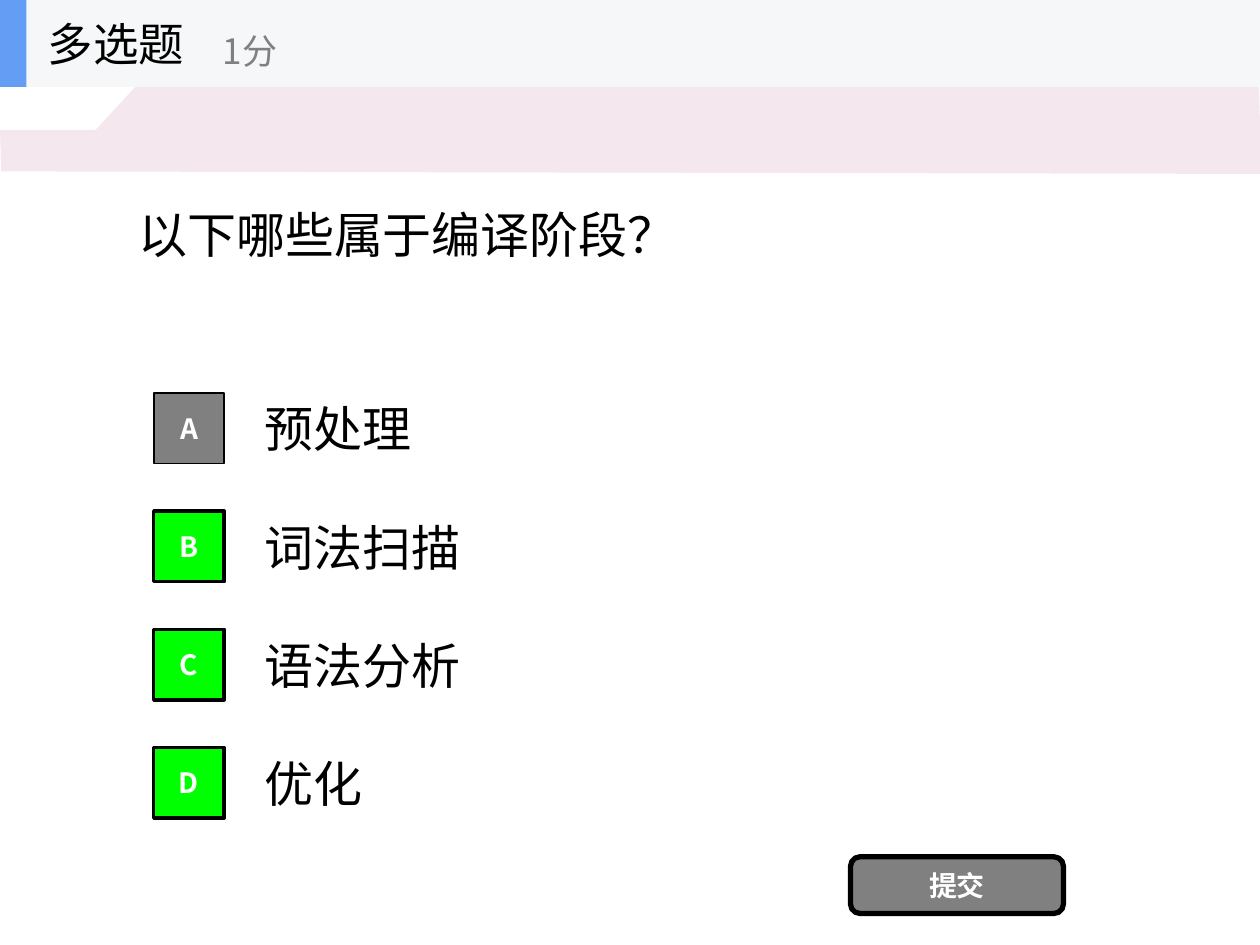
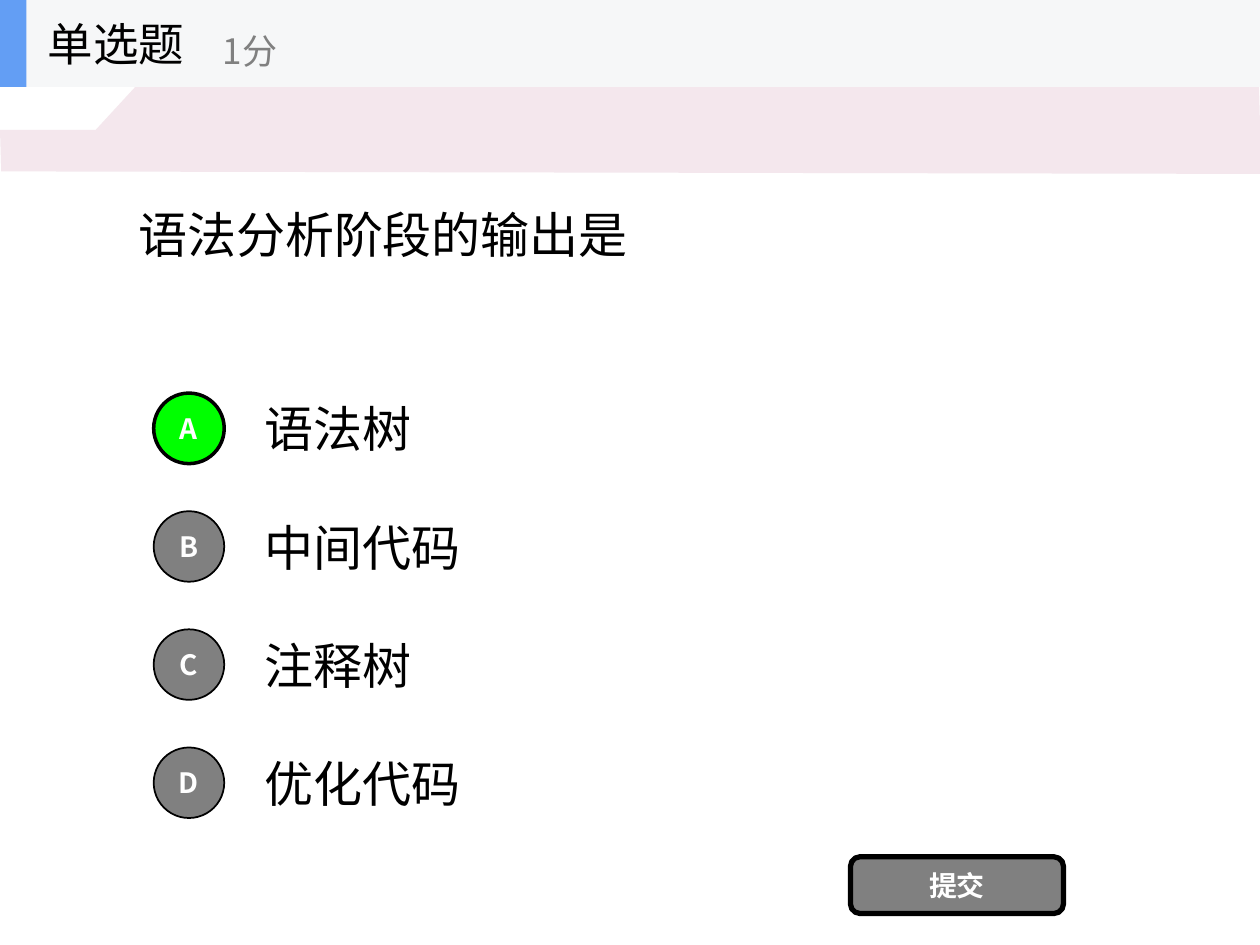
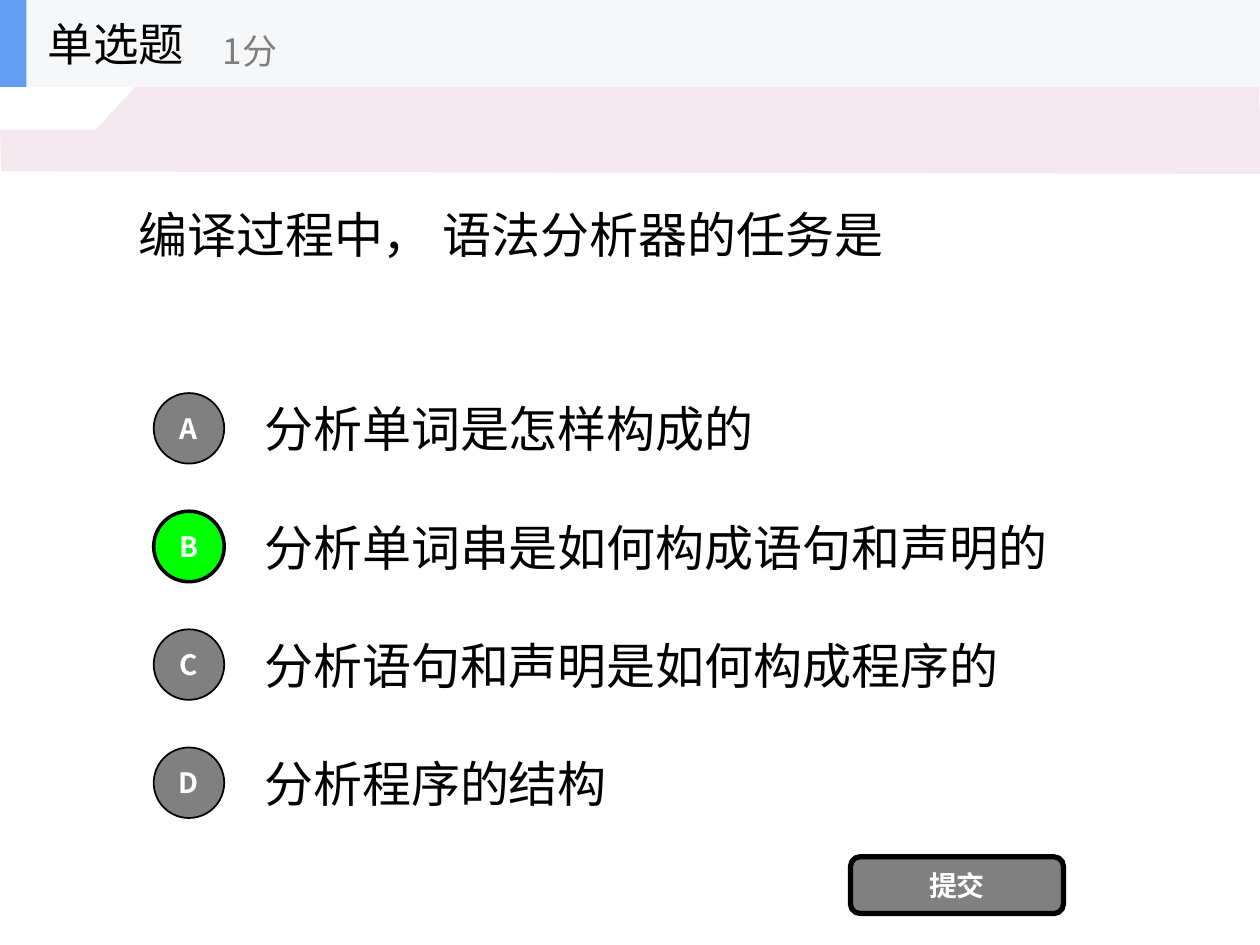
from pptx import Presentation
from pptx import util as u
from pptx.dml.color import RGBColor
from pptx.enum import shapes, text
from pptx.oxml.ns import qn
from lxml import etree

FACE = "Noto Sans CJK SC"
BLACK, WHITE, GRAY, GREEN = "000000", "FFFFFF", "808080", "00FF00"
PINK, PALE, BLUE = "F4E7ED", "F6F7F8", "639EF4"
SHAPE = shapes.MSO_SHAPE
WIDTH, HEIGHT, HEAD = 10, 7.5, 0.69
TOP, STEP, ROW, MARK = 3.05, HEIGHT / 8, 0.7, 0.56
BAND = [(0, 1.03), (0.76, 1.03), (1.35, 0.39), (3.75, 0.39),
        (3.93, 0.6), (9.99, 0.59), (10.01, 1.38), (0.01, 1.36)]

QUIZ = [
    ("多选题", SHAPE.RECTANGLE, "以下哪些属于编译阶段？", "BCD",
     ["预处理", "词法扫描", "语法分析", "优化"]),
    ("单选题", SHAPE.OVAL, "语法分析阶段的输出是", "A",
     ["语法树", "中间代码", "注释树", "优化代码"]),
    ("单选题", SHAPE.OVAL, "编译过程中， 语法分析器的任务是", "B",
     ["分析单词是怎样构成的", "分析单词串是如何构成语句和声明的",
      "分析语句和声明是如何构成程序的", "分析程序的结构"]),
]


def color(code):
    return RGBColor.from_string(code)


def write(shape, words, size, ink, bold=False, align=text.PP_ALIGN.LEFT):
    frame = shape.text_frame
    frame.word_wrap = True
    frame.vertical_anchor = text.MSO_ANCHOR.MIDDLE
    para = frame.paragraphs[0]
    para.text = words
    para.alignment = align
    font = para.font
    font.name, font.size, font.bold = FACE, u.Pt(size), bold
    font.color.rgb = color(ink)
    props = para._p.pPr.find(qn("a:defRPr"))
    etree.SubElement(props, qn("a:ea")).set("typeface", FACE)


def label(parent, box, words, size, ink=BLACK):
    write(parent.add_textbox(*map(u.Inches, box)), words, size, ink)


def paint(shape, fill, line=0):
    shape.shadow.inherit = False
    shape.fill.solid()
    shape.fill.fore_color.rgb = color(fill)
    if line:
        shape.line.color.rgb = color(BLACK)
        shape.line.width = u.Pt(line)
    else:
        shape.line.fill.background()


def block(parent, kind, box, fill, line=0, words=None):
    shape = parent.add_shape(kind, *map(u.Inches, box))
    paint(shape, fill, line)
    if words:
        write(shape, words, 16, WHITE, True, text.PP_ALIGN.CENTER)


def draw_band(parent):
    points = [(round(x * 100), round(y * 100)) for x, y in BAND]
    form = parent.build_freeform(*points[0], scale=u.Inches(0.01))
    form.add_line_segments(points[1:], close=True)
    paint(form.convert_to_shape(), PINK)


def draw_head(parent, title):
    group = parent.add_group_shape().shapes
    block(group, SHAPE.RECTANGLE, (0, 0, WIDTH, HEAD), PALE)
    block(group, SHAPE.RECTANGLE, (0, 0, 0.21, HEAD), BLUE)
    label(group, (0.28, 0, 2.08, HEAD), title, 26)
    label(group, (1.67, 0.12, 2.5, 0.56), "1分", 20, GRAY)


def draw_quiz(parent, title, kind, ask, right, picks):
    draw_band(parent)
    label(parent, (1, HEAD, 8, 2.34), ask, 28)
    for i, (key, pick) in enumerate(zip("ABCD", picks)):
        top = TOP + i * STEP
        label(parent, (2, top, 7, ROW), pick, 28)
        fill, line = (GREEN, 2) if key in right else (GRAY, 1)
        box = (1.22, top + (ROW - MARK) / 2, MARK, MARK)
        block(parent, kind, box, fill, line, key)
    block(parent, SHAPE.ROUNDED_RECTANGLE, (6.75, 6.8, 1.69, 0.45),
          GRAY, 3, "提交")
    draw_head(parent, title)


def main():
    deck = Presentation()
    deck.slide_width, deck.slide_height = u.Inches(WIDTH), u.Inches(HEIGHT)
    for quiz in QUIZ:
        draw_quiz(deck.slides.add_slide(deck.slide_layouts[6]).shapes, *quiz)
    deck.save("out.pptx")


if __name__ == "__main__":
    main()
